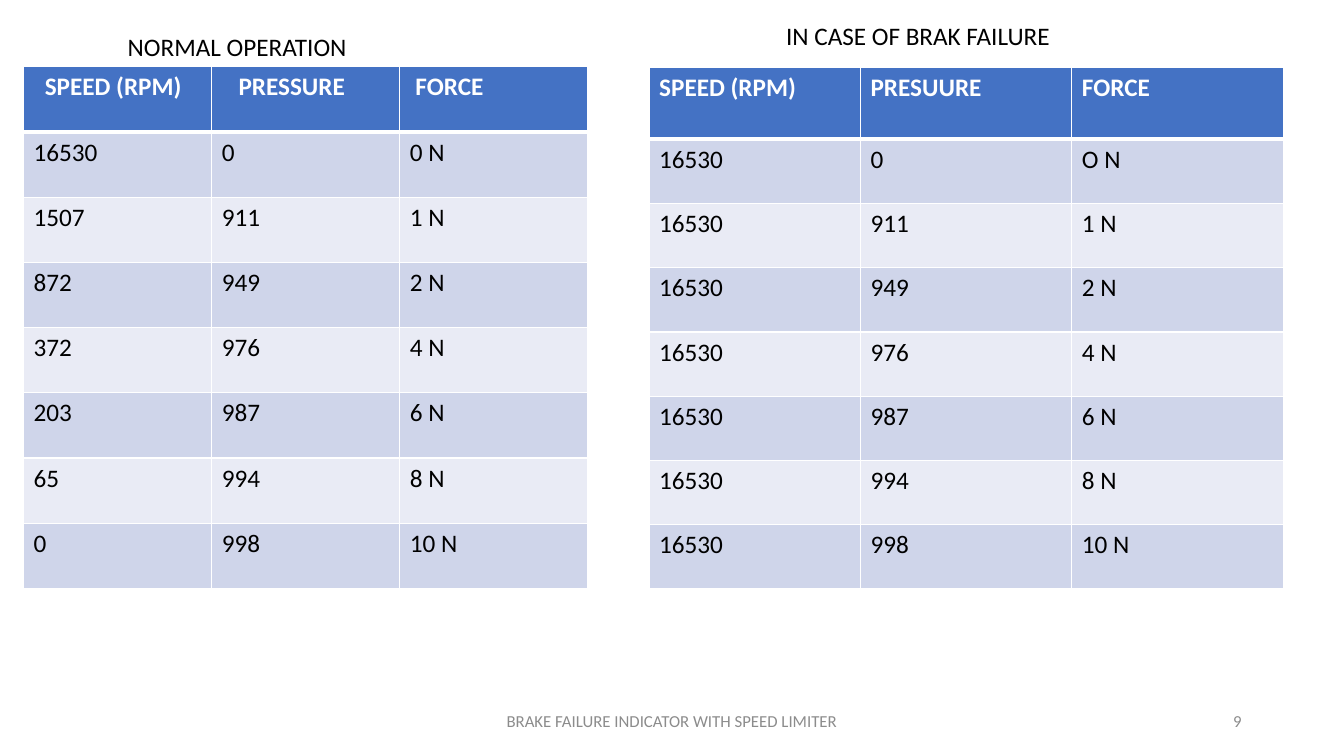
from lxml import etree
from pptx import Presentation
from pptx import util as u
from pptx.dml.color import RGBColor
from pptx.enum import text
from pptx.oxml import ns

Pt = u.Pt
WHITE = RGBColor(0xFF, 0xFF, 0xFF)
BLACK = RGBColor(0, 0, 0)
GREY = RGBColor(0x8C, 0x8C, 0x8C)
BLUE = RGBColor(0x44, 0x72, 0xC4)
BANDS = [RGBColor(0xE9, 0xEB, 0xF5), RGBColor(0xCF, 0xD5, 0xEA)]

FORCES = [0, 1, 2, 4, 6, 8, 10]
LOADS = [0, 911, 949, 976, 987, 994, 998]
SPEEDS = [16530, 1507, 872, 372, 203, 65, 0]


def write(frame, words, font="Calibri", size=18, color=BLACK, bold=False,
          align=text.PP_ALIGN.LEFT):
    para = frame.paragraphs[0]
    para.alignment = align
    run = para.add_run()
    run.text = words
    run.font.name = font
    run.font.size = Pt(size)
    run.font.bold = bold
    run.font.color.rgb = color


def edge(cell, side, width):
    props = cell._tc.get_or_add_tcPr()
    line = etree.Element(ns.qn("a:ln" + side), w=str(Pt(width)))
    fill = etree.SubElement(line, ns.qn("a:solidFill"))
    etree.SubElement(fill, ns.qn("a:srgbClr"), val=str(WHITE))
    props.insert("LRTB".index(side), line)


class Page:
    font = "Calibri"
    inset = 7.2

    def __init__(self, slide):
        self.slide = slide

    def label(self, words, left, top, width, height=28.8,
              anchor=text.MSO_ANCHOR.TOP, **style):
        box = self.slide.shapes.add_textbox(
            Pt(left), Pt(top), Pt(width), Pt(height))
        frame = box.text_frame
        frame.word_wrap = True
        frame.vertical_anchor = anchor
        write(frame, words, font=self.font, **style)

    def table(self, rows, left, top, width, first, rest, pads=(0, 0, 0)):
        count = len(rows[0])
        height = first + rest * (len(rows) - 1)
        grid = self.slide.shapes.add_table(
            len(rows), count, Pt(left), Pt(top), Pt(width), Pt(height)).table
        for col in grid.columns:
            col.width = Pt(width / count)
        for r, row in enumerate(rows):
            head = r == 0
            grid.rows[r].height = Pt(first if head else rest)
            for c, value in enumerate(row):
                cell = grid.cell(r, c)
                cell.margin_left = Pt(self.inset + (pads[c] if head else 0))
                cell.fill.solid()
                cell.fill.fore_color.rgb = BLUE if head else BANDS[r % 2]
                write(cell.text_frame, str(value), font=self.font, bold=head,
                      color=WHITE if head else BLACK)
                for side in "LRTB":
                    thick = (r, side) in [(0, "B"), (1, "T")]
                    edge(cell, side, 3 if thick else 1)


def main():
    deck = Presentation()
    deck.slide_width, deck.slide_height = Pt(960), Pt(540)
    page = Page(deck.slides.add_slide(deck.slide_layouts[6]))

    foot = dict(top=500.4, anchor=text.MSO_ANCHOR.MIDDLE, size=12, color=GREY)
    page.label("BRAKE FAILURE INDICATOR WITH SPEED LIMITER", left=318,
               width=324, align=text.PP_ALIGN.CENTER, **foot)
    page.label("9", left=678, width=216, align=text.PP_ALIGN.RIGHT, **foot)

    normal = [("SPEED (RPM)", "PRESSURE", "FORCE")]
    normal += [(s, p, f"{f} N") for s, p, f in zip(SPEEDS, LOADS, FORCES)]
    page.table(normal, 16.8, 47.7, 403.2, 46.6, 46.6, pads=(8, 12, 4))
    page.label("NORMAL OPERATION", 84.2, 18.7, 335.5)

    failed = [("SPEED (RPM)", "PRESUURE", "FORCE")]
    failed += [(SPEEDS[0], p, f"{f or 'O'} N") for p, f in zip(LOADS, FORCES)]
    page.table(failed, 463.7, 47.9, 453, 51.6, 45.9)
    page.label("IN CASE OF BRAK FAILURE", 554.4, 10.8, 405.6)

    deck.save("out.pptx")


if __name__ == "__main__":
    main()
